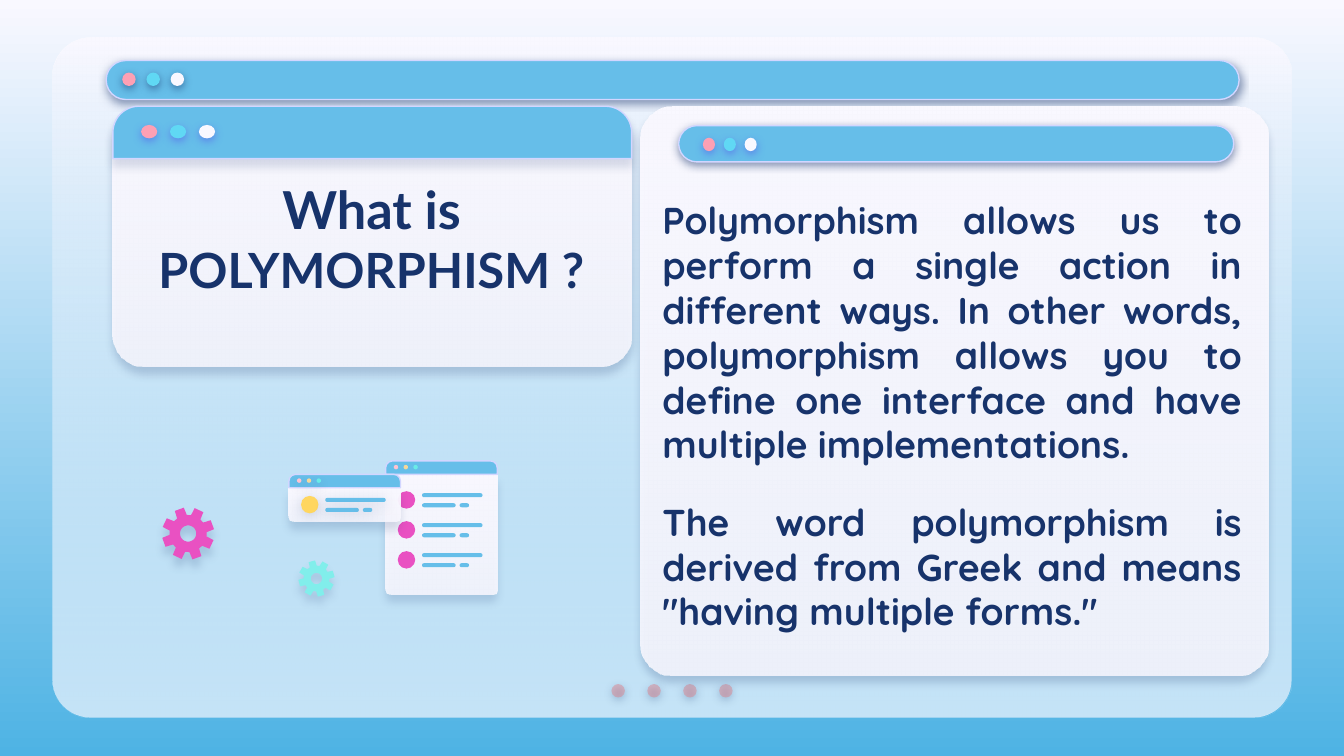
import math
from dataclasses import dataclass

from lxml import etree
from pptx import Presentation, util as u
from pptx.dml.color import RGBColor
from pptx.enum import shapes, text
from pptx.oxml.ns import qn

CELL = u.Inches(0.01)  # the grid has 1000 columns across the slide
KIND = shapes.MSO_SHAPE


@dataclass(frozen=True)
class Theme:
    ink: str = "17336B"
    pale: str = "F9F8FF"
    sky: str = "66BEE9"
    deep: str = "4EB3E4"
    edge: str = "D2D6FF"
    glow: str = "5352EE"
    rose: str = "E27B83"
    pink: str = "E951C2"
    mint: str = "81EEEB"
    gold: str = "FFD65F"
    lights: tuple = ("FDA0B4", "60D8F4", "F9F8FF")
    minis: tuple = ("FFC3D0", "F5D79B", "6AEBE7")
    head: str = "Lato"
    body: str = "Quicksand"
    big: int = 28
    mid: int = 26
    base: int = 20


T = Theme()
# Shadows: colour, opacity, blur, distance
HARD = (T.ink, 50, 4.5, 1.5)
GLOW = (T.glow, 50, 4.5, 1.5)
CARD = (T.ink, 22, 4.5, 3.8)
SOFT = (T.ink, 15, 4.5, 3.8)
DEEP = (T.ink, 16, 4.5, 4.5)
SPOT = (T.ink, 17, 4.5, 2.2)
WIDE = (T.ink, 18, 6.8, 1.5)


@dataclass(frozen=True)
class Box:
    x: float
    y: float
    w: float
    h: float

    def sub(self, x, y, w, h):
        return Box(self.x + x, self.y + y, w, h)

    def emu(self):
        return [round(v * CELL) for v in (self.x, self.y, self.w, self.h)]


def rgb(code):
    return RGBColor.from_string(code)


def fade(node, share):
    etree.SubElement(node, qn("a:alpha"), val=str(share * 1000))


def blend(fill, top, end):
    fill.gradient()
    fill.gradient_angle = 270
    for stop, code in zip(fill.gradient_stops, (top, end)):
        stop.color.rgb = rgb(code)


def style(shape, fill, alpha=100, line=None, shade=None):
    """A pair of colours as fill gives a downward blend; alpha acts on its end."""
    if isinstance(fill, tuple):
        blend(shape.fill, *fill)
    else:
        shape.fill.solid()
        shape.fill.fore_color.rgb = rgb(fill)
    props = shape._element.spPr
    if alpha < 100:
        fade(props.xpath(".//a:srgbClr")[-1], alpha)
    if line:
        shape.line.color.rgb = rgb(line)
        shape.line.width = u.Pt(0.75)
    else:
        shape.line.fill.background()
    shape.shadow.inherit = False
    if shade:
        code, share, blur, dist = shade
        drop = etree.SubElement(
            props.find(qn("a:effectLst")), qn("a:outerShdw"),
            blurRad=str(u.Pt(blur)), dist=str(u.Pt(dist)),
            dir="5400000", algn="bl", rotWithShape="0")
        fade(etree.SubElement(drop, qn("a:srgbClr"), val=code), share)


def draw(slide, kind, box, fill, adj=(), **look):
    shape = slide.shapes.add_shape(kind, *box.emu())
    for i, value in enumerate(adj):
        shape.adjustments[i] = value
    style(shape, fill, **look)


def dots(slide, first, pitch, fills, **look):
    for i, fill in enumerate(fills):
        draw(slide, KIND.OVAL, first.sub(i * pitch, 0, first.w, first.h),
             fill, **look)


def pill(slide, box, **look):
    draw(slide, KIND.ROUNDED_RECTANGLE, box, T.sky, [0.5], **look)


def frame(slide, box):
    for fill, alpha in ((T.pale, 100), ((T.pale, T.sky), 35)):
        draw(slide, KIND.ROUNDED_RECTANGLE, box, fill, [0.056], alpha=alpha)
    dots(slide, box.sub(416, 481, 10, 10), 26.7, [T.rose] * 4,
         alpha=44, shade=HARD)
    pill(slide, box.sub(40, 17, 843, 29), line=T.edge, shade=HARD)
    dots(slide, box.sub(52, 26, 10, 10), 18, T.lights, shade=HARD)


def card(slide, box, round_by):
    draw(slide, KIND.ROUNDED_RECTANGLE, box, (T.pale, T.pale), [round_by],
         alpha=87, shade=CARD)


def topic(slide, box):
    card(slide, box, 0.124)
    draw(slide, KIND.ROUND_2_SAME_RECTANGLE, box.sub(0, 0, box.w, 39), T.sky,
         [0.5, 0], line=T.edge, shade=SOFT)
    dots(slide, box.sub(21, 14, 12, 10), 21.5, T.lights, shade=GLOW)


def panel(slide, box):
    card(slide, box, 0.056)
    pill(slide, box.sub(28, 14, 413, 27), line=T.edge, shade=HARD)
    dots(slide, box.sub(46, 23, 9, 10), 15.5, T.lights, shade=GLOW)


def mini(slide, box, rows, mark, left, top, spot=None, wide=None):
    """Small window with a bar on top and rows of a mark and three dashes."""
    bar = 10
    draw(slide, KIND.ROUND_2_SAME_RECTANGLE,
         box.sub(0, bar, box.w, box.h - bar), (T.pale, T.pale),
         [0, 5 / min(box.w, box.h - bar)], alpha=87, shade=DEEP)
    draw(slide, KIND.ROUND_2_SAME_RECTANGLE, box.sub(0, 0, box.w, bar),
         T.sky, [0.5, 0], line=T.edge)
    dots(slide, box.sub(6, 3, 3.3, 3.3), 7.3, T.minis, shade=spot)
    for i in range(rows):
        row = box.sub(left, top + i * 22.3, 63, 13)
        draw(slide, KIND.OVAL, row.sub(0, 0, 13, 13), mark, shade=wide)
        for x, y, w in ((18, 1.5, 45), (18, 9, 25), (46, 9, 7)):
            pill(slide, row.sub(x, y, w, 3), shade=wide)


def gear(slide, box, turn, fill, shade):
    """Eight teeth round a hole; turn is the angle of the first tooth."""
    half = box.w / 2

    def spot(angle, share):
        a = math.radians(angle)
        return (round((box.x + half + half * share * math.sin(a)) * CELL),
                round((box.y + half - half * share * math.cos(a)) * CELL))

    tooth = ((-16, 0.71), (-10.5, 1), (10.5, 1), (16, 0.71))
    rim = [spot(turn + 45 * i + a, r) for i in range(8) for a, r in tooth]
    hole = [spot(-10 * i, 0.31) for i in range(36)]
    path = slide.shapes.build_freeform(*rim[0])
    path.add_line_segments(rim[1:])
    path.move_to(*hole[0])
    path.add_line_segments(hole[1:])
    style(path.convert_to_shape(), fill, shade=shade)


def write(frame, lines, face, align, gap=0):
    for i, (words, size) in enumerate(lines):
        para = frame.paragraphs[0] if i == 0 else frame.add_paragraph()
        para.alignment = align
        if i and gap:
            para.space_before = u.Pt(gap)
        run = para.add_run()
        run.text = words
        run.font.name, run.font.size, run.font.bold = face, u.Pt(size), True
        run.font.color.rgb = rgb(T.ink)


def title(slide, box):
    head = slide.shapes.title
    head.left, head.top, head.width, head.height = box.emu()
    slide.shapes._spTree.append(head._element)
    tf = head.text_frame
    tf.word_wrap, tf.auto_size = True, text.MSO_AUTO_SIZE.NONE
    tf.vertical_anchor = text.MSO_ANCHOR.MIDDLE
    tf.margin_left = tf.margin_right = tf.margin_top = tf.margin_bottom = 10 * CELL
    write(tf, [("What is", T.big), ("POLYMORPHISM ?", T.mid)],
          T.head, text.PP_ALIGN.CENTER)


def body(slide, box):
    tf = slide.shapes.add_textbox(*box.emu()).text_frame
    tf.word_wrap, tf.auto_size = True, text.MSO_AUTO_SIZE.SHAPE_TO_FIT_TEXT
    lines = ("Polymorphism allows us to perform a single action in different "
             "ways. In other words, polymorphism allows you to define one "
             "interface and have multiple implementations.",
             'The word polymorphism is derived from Greek and means '
             '"having multiple forms."')
    write(tf, [(line, T.base) for line in lines],
          T.body, text.PP_ALIGN.JUSTIFY, gap=17.5)


def main():
    deck = Presentation()
    deck.slide_width = 1000 * CELL
    deck.slide_height = deck.slide_width * 9 // 16
    slide = deck.slides.add_slide(deck.slide_layouts[5])
    blend(slide.background.fill, T.pale, T.deep)
    frame(slide, Box(39, 28, 922, 506))
    topic(slide, Box(84, 79, 386, 194))
    mini(slide, Box(287, 343, 83, 99), 3, T.pink, 9, 22.5)
    mini(slide, Box(215, 353, 83, 35), 1, T.gold, 9, 16, SPOT, WIDE)
    gear(slide, Box(120.5, 377.5, 39, 39), -20, T.pink, DEEP)
    gear(slide, Box(222, 417, 27, 27), -15, T.mint, SOFT)
    panel(slide, Box(477, 79.5, 467, 423))
    title(slide, Box(77, 119, 399, 116))
    body(slide, Box(483, 142, 451, 337))
    deck.save("out.pptx")


if __name__ == "__main__":
    main()
